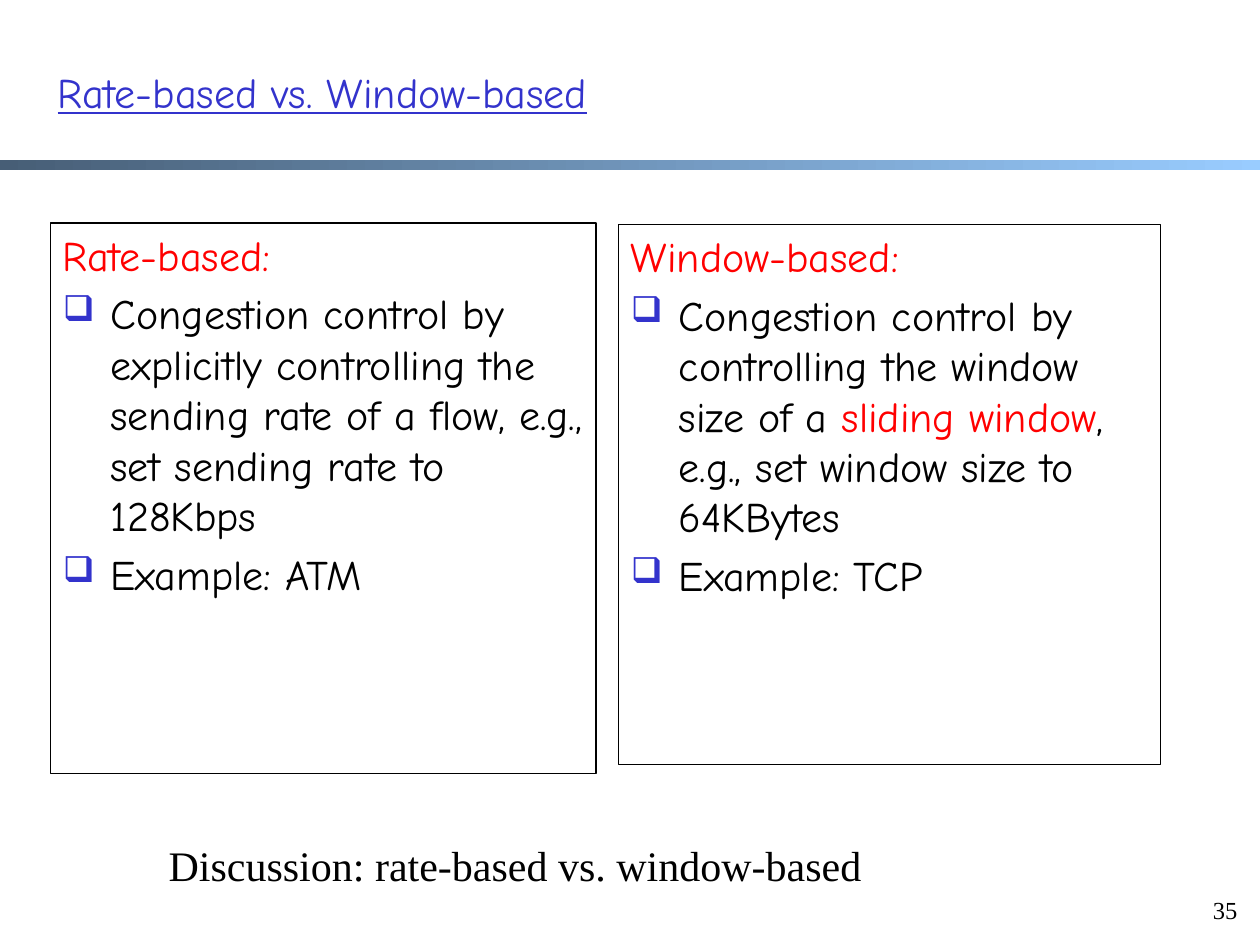
from lxml import etree
from pptx import Presentation
from pptx.dml.color import RGBColor
from pptx.enum.shapes import MSO_SHAPE
from pptx.enum.text import MSO_ANCHOR, MSO_AUTO_SIZE, PP_ALIGN
from pptx.oxml.ns import qn
from pptx.util import Inches, Pt

RECT = MSO_SHAPE.RECTANGLE
TOP, MIDDLE = MSO_ANCHOR.TOP, MSO_ANCHOR.MIDDLE
GROW = MSO_AUTO_SIZE.SHAPE_TO_FIT_TEXT
LEFT, RIGHT = PP_ALIGN.LEFT, PP_ALIGN.RIGHT
COLS, ROWS = 100, 75
COMIC, TIMES = "Comic Neue", "Times New Roman"
BLUE, RED, BLACK = "3333CC", "FF0000", "000000"


def color(text):
    return RGBColor.from_string(text)


def assign(target, values):
    for name, value in values.items():
        setattr(target, name, value)


class Deck:
    """Hold the style and the current slide, and draw on its grid."""

    def __init__(self):
        self.show = Presentation()
        assign(self.show, {"slide_width": Inches(10), "slide_height": Inches(7.5)})
        self.slide = self.show.slides.add_slide(self.show.slide_layouts[6])
        self.hang = Inches(0.38)

    def place(self, left, top, width, height):
        col, row = self.show.slide_width / COLS, self.show.slide_height / ROWS
        return [round(n) for n in (left * col, top * row, width * col, height * row)]

    def box(self, area):
        shape = self.slide.shapes.add_shape(RECT, *self.place(*area))
        shape.shadow.inherit = False
        return shape

    def band(self, area, shades):
        shape = self.box(area)
        shape.line.fill.background()
        shape.fill.gradient()
        shape.fill.gradient_angle = 0
        for stop, shade in zip(shape.fill.gradient_stops, shades):
            stop.color.rgb = color(shade)

    def words(self, para, text, tint, **font):
        run = para.add_run()
        run.text = text
        assign(run.font, {"name": COMIC, "size": Pt(24), **font})
        run.font.color.rgb = color(tint)

    def label(self, area, text, tint=BLACK, align=LEFT, frame=None, **font):
        body = self.slide.shapes.add_textbox(*self.place(*area)).text_frame
        assign(body, {"word_wrap": True, **(frame or {})})
        body.paragraphs[0].alignment = align
        self.words(body.paragraphs[0], text, tint, **font)

    def bullet(self, para):
        props = para._p.get_or_add_pPr()
        tint = etree.SubElement(props, qn("a:buClr"))
        etree.SubElement(tint, qn("a:srgbClr"), val=BLUE)
        etree.SubElement(props, qn("a:buSzPct"), val="85000")
        etree.SubElement(props, qn("a:buChar"), char="❑")

    def panel(self, area, head, *items):
        shape = self.box(area)
        shape.fill.background()
        shape.line.color.rgb = color(BLACK)
        shape.line.width = Pt(0.75)
        body = shape.text_frame
        assign(body, {"word_wrap": True, "vertical_anchor": TOP})
        for i, runs in enumerate([[(head, RED)], *items]):
            para = body.add_paragraph() if i else body.paragraphs[0]
            assign(para, {"alignment": LEFT, "space_before": Pt(4.8)})
            props = para._p.get_or_add_pPr()
            props.set("marL", str(self.hang))
            props.set("indent", str(-self.hang))
            if i:
                self.bullet(para)
            for text, tint in runs:
                self.words(para, text, tint)


def main():
    deck = Deck()
    deck.band((0, 12.7, 100, 0.8), ("475E76", "99CCFF"))
    deck.label((94.6, 70.5, 4.6, 3.8), "35", align=RIGHT, name=TIMES, size=Pt(14))
    deck.panel(
        (49.1, 17.8, 43, 42.9),
        "Window-based:",
        [
            ("Congestion control by controlling the window size of a ", BLACK),
            ("sliding window", RED),
            (", e.g., set window size to 64KBytes", BLACK),
        ],
        [("Example: TCP", BLACK)],
    )
    deck.panel(
        (4, 17.7, 43.3, 43.7),
        "Rate-based:",
        [("Congestion control by explicitly controlling the sending rate "
          "of a flow, e.g., set sending rate to 128Kbps", BLACK)],
        [("Example: ATM", BLACK)],
    )
    deck.label(
        (12.4, 66.1, 57, 5), "Discussion: rate-based vs. window-based",
        frame={"word_wrap": False, "auto_size": GROW}, name=TIMES,
    )
    deck.label(
        (3.6, 4.5, 87.7, 5.5), "Rate-based vs. Window-based", BLUE,
        frame={"vertical_anchor": MIDDLE}, underline=True,
    )
    deck.show.save("out.pptx")


if __name__ == "__main__":
    main()
